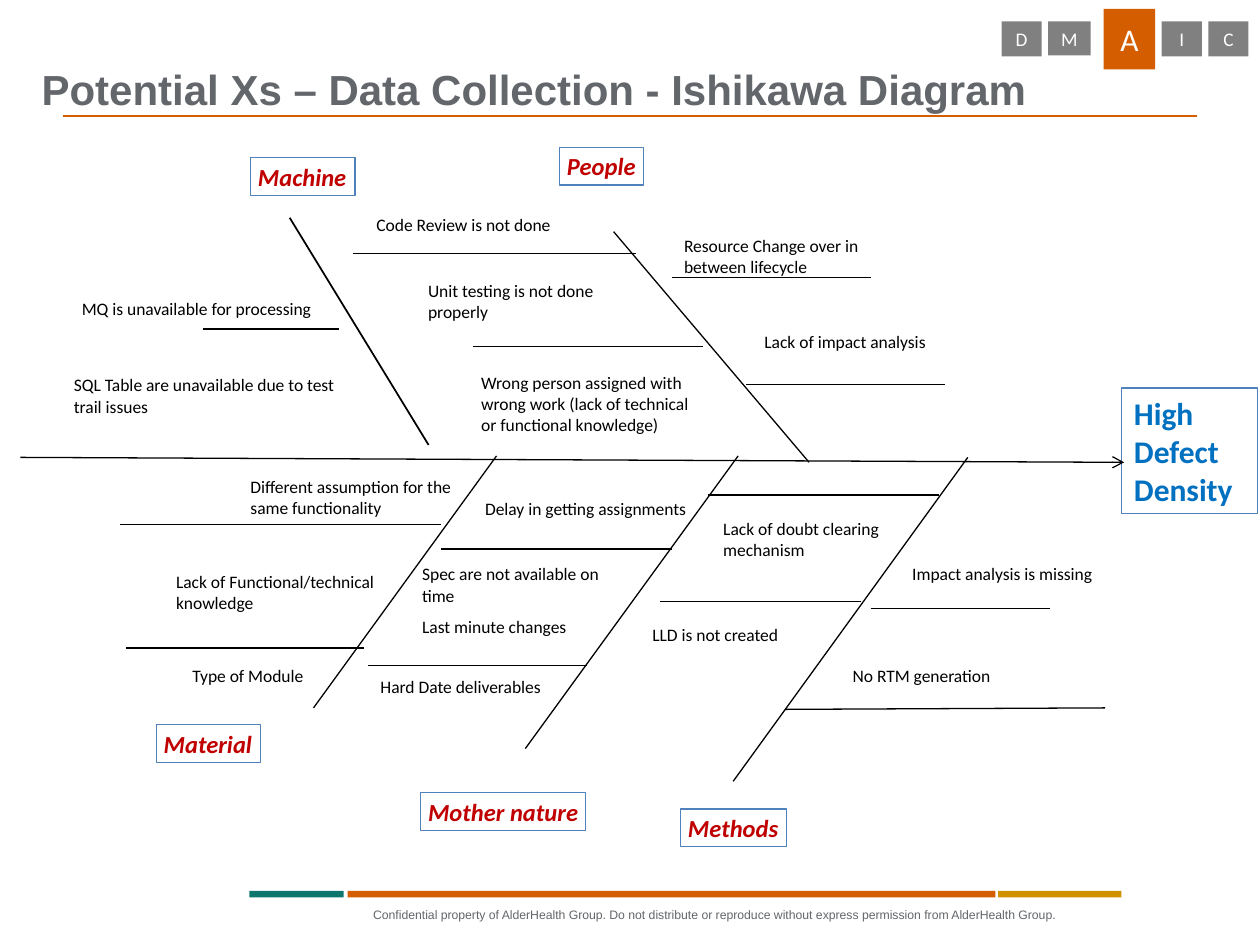
from lxml import etree
from pptx import Presentation
from pptx.dml.color import RGBColor
from pptx.enum.shapes import MSO_CONNECTOR, MSO_SHAPE
from pptx.enum.text import MSO_ANCHOR, MSO_AUTO_SIZE, PP_ALIGN
from pptx.oxml.ns import qn
from pptx.util import Cm, Pt

RECTANGLE = MSO_SHAPE.RECTANGLE
STRAIGHT = MSO_CONNECTOR.STRAIGHT
TOP, MIDDLE, BOTTOM = MSO_ANCHOR.TOP, MSO_ANCHOR.MIDDLE, MSO_ANCHOR.BOTTOM
LEFT, CENTER, RIGHT = PP_ALIGN.LEFT, PP_ALIGN.CENTER, PP_ALIGN.RIGHT
GROW, FIXED = MSO_AUTO_SIZE.SHAPE_TO_FIT_TEXT, MSO_AUTO_SIZE.NONE

ORANGE, TEAL, GOLD = "D45D00", "0D776E", "D19000"
GRAY, SLATE, WHITE, BLACK = "808080", "63666A", "FFFFFF", "000000"
BOX_BLUE, EFFECT_BLUE, RED = "4F81BD", "0070C0", "C00000"

TITLE = "Potential Xs – Data Collection - Ishikawa Diagram"
FOOTER = ("Confidential property of AlderHealth Group. Do not distribute or reproduce "
          "without express permission from AlderHealth Group.")

PHASES = [
    ("D", 20.19, 0.43, 0.81, 0.71),
    ("M", 21.13, 0.43, 0.86, 0.69),
    ("A", 22.25, 0.18, 1.04, 1.22),
    ("I", 23.42, 0.43, 0.81, 0.71),
    ("C", 24.36, 0.43, 0.81, 0.71),
]
FOOTER_BARS = [(5.03, 1.9, TEAL), (7.01, 13.06, ORANGE), (20.12, 2.49, GOLD)]

CATEGORIES = [
    ("Machine", 5.05, 3.18, 2.11),
    ("People", 11.28, 2.97, 1.7),
    ("Material", 3.15, 14.61, 2.11),
    ("Mother nature", 8.48, 15.98, 3.33),
    ("Methods", 13.72, 16.31, 2.13),
]
BONES = [
    (5.84, 4.39, 8.64, 8.97, 1),
    (12.37, 4.67, 16.31, 9.32, 0.75),
    (6.32, 14.27, 10.01, 9.19, 0.75),
    (10.59, 15.09, 14.88, 9.19, 0.75),
    (14.78, 15.75, 19.51, 9.22, 0.75),
]
TWIGS = [
    (4.09, 6.83, 6.63),
    (7.11, 12.83, 5.11),
    (9.53, 14.17, 6.99),
    (13.54, 17.55, 5.59),
    (15.04, 19.05, 7.75),
    (2.41, 8.89, 10.57),
    (2.54, 7.34, 13.06),
    (8.89, 13.54, 11.07),
    (7.42, 11.84, 13.41),
    (14.27, 18.92, 9.98),
    (13.31, 17.35, 12.12),
    (17.55, 21.16, 12.27),
]
CAUSES = [
    (1.4, 5.87, 6.02, 0.69, ["MQ is unavailable for processing"]),
    (1.24, 7.42, 6.02, 1.12, ["SQL Table are unavailable due to test trail issues"]),
    (7.34, 4.19, 4.72, 0.69, ["Code Review is not done"]),
    (8.38, 5.51, 4.72, 1.12, ["Unit testing is not done properly"]),
    (9.45, 7.37, 4.72, 1.52,
     ["Wrong person assigned with wrong work (lack of technical or functional knowledge)"]),
    (13.54, 4.6, 4.72, 1.12, ["Resource Change over in between lifecycle"]),
    (15.16, 6.55, 4.72, 0.69, ["Lack of impact analysis"]),
    (4.8, 9.47, 4.72, 1.12, ["Different assumption for the same functionality"]),
    (3.3, 11.38, 4.72, 1.12, ["Lack of Functional/technical knowledge"]),
    (3.63, 13.28, 3.12, 0.69, ["Type of Module"]),
    (9.53, 9.91, 4.72, 0.69, ["Delay in getting assignments"]),
    (8.26, 11.23, 4.72, 1.75, ["Spec are not available on time", "Last minute changes"]),
    (7.42, 13.49, 4.72, 0.69, ["Hard Date deliverables"]),
    (14.33, 10.31, 4.72, 1.12, ["Lack of doubt clearing mechanism"]),
    (12.9, 12.45, 4.72, 0.69, ["LLD is not created"]),
    (18.14, 11.23, 4.72, 0.69, ["Impact analysis is missing"]),
    (16.94, 13.28, 4.72, 0.69, ["No RTM generation"]),
]


def color(hex_string):
    return RGBColor.from_string(hex_string)


def write_text(shape, lines, size, text_color, font="Calibri", bold=False, italic=False,
               align=LEFT, anchor=TOP, wrap=True, auto_size=FIXED, insets=(0.25, 0.13),
               space_before=0, line_spacing=1):
    frame = shape.text_frame
    frame.word_wrap = wrap
    frame.auto_size = auto_size
    frame.vertical_anchor = anchor
    frame.margin_left = frame.margin_right = Cm(insets[0])
    frame.margin_top = frame.margin_bottom = Cm(insets[1])
    for index, line in enumerate(lines):
        paragraph = frame.add_paragraph() if index else frame.paragraphs[0]
        paragraph.text = line
        paragraph.alignment = align
        paragraph.line_spacing = line_spacing
        if index:
            paragraph.space_before = Pt(space_before)
        paragraph.font.name = font
        paragraph.font.size = Pt(size)
        paragraph.font.bold = bold
        paragraph.font.italic = italic
        paragraph.font.color.rgb = color(text_color)


def add_text(slide, left, top, width, height, lines, size, text_color, **text_format):
    box = slide.shapes.add_textbox(Cm(left), Cm(top), Cm(width), Cm(height))
    write_text(box, lines, size, text_color, **text_format)


def add_box(slide, left, top, width, height, fill=None, outline=None):
    shape = slide.shapes.add_shape(RECTANGLE, Cm(left), Cm(top), Cm(width), Cm(height))
    shape.shadow.inherit = False
    if fill:
        shape.fill.solid()
        shape.fill.fore_color.rgb = color(fill)
    else:
        shape.fill.background()
    if outline:
        shape.line.color.rgb = color(outline)
        shape.line.width = Pt(0.75)
    else:
        shape.line.fill.background()
    return shape


def add_line(slide, x1, y1, x2, y2, line_color=BLACK, width=0.75, arrow=False):
    connector = slide.shapes.add_connector(STRAIGHT, Cm(x1), Cm(y1), Cm(x2), Cm(y2))
    connector.line.color.rgb = color(line_color)
    connector.line.width = Pt(width)
    properties = connector._element.spPr
    if arrow:
        etree.SubElement(properties.find(qn("a:ln")), qn("a:tailEnd"), type="arrow")
    etree.SubElement(properties, qn("a:effectLst"))


def add_frame(slide):
    add_text(slide, 0.84, 0.2, 20.68, 2.11, [TITLE], 24, SLATE, font="Arial", bold=True,
             anchor=BOTTOM, insets=(0, 0), line_spacing=0.9)
    add_line(slide, 1.27, 2.34, 24.13, 2.34, line_color=ORANGE, width=1)
    for left, width, fill in FOOTER_BARS:
        add_box(slide, left, 17.96, width, 0.13, fill=fill)
    add_text(slide, 7.21, 18.29, 14.07, 0.3, [FOOTER], 7, SLATE, font="Arial",
             align=RIGHT, wrap=False, auto_size=GROW, insets=(0, 0))


def add_phases(slide, current):
    for letter, left, top, width, height in PHASES:
        active = letter == current
        box = add_box(slide, left, top, width, height, fill=ORANGE if active else GRAY)
        write_text(box, [letter], 18 if active else 11, WHITE, align=CENTER,
                   anchor=MIDDLE, wrap=False)


def add_fishbone(slide):
    for x1, y1, x2, y2, width in BONES:
        add_line(slide, x1, y1, x2, y2, width=width)
    for start, end, y in TWIGS:
        add_line(slide, start, y, end, y)
    add_line(slide, 15.82, 14.3, 22.28, 14.27)
    for name, left, top, width in CATEGORIES:
        box = add_box(slide, left, top, width, 0.76, outline=BOX_BLUE)
        write_text(box, [name], 14, RED, bold=True, italic=True, wrap=False,
                   auto_size=GROW, insets=(0.15, 0.08))
    effect = add_box(slide, 22.61, 7.82, 2.74, 2.54, outline=BOX_BLUE)
    write_text(effect, ["High Defect", "Density"], 18, EFFECT_BLUE, bold=True,
               auto_size=GROW)
    add_line(slide, 0.41, 9.22, 22.66, 9.32, arrow=True)
    for left, top, width, height, lines in CAUSES:
        add_text(slide, left, top, width, height, lines, 10, BLACK, auto_size=GROW,
                 space_before=6)


def main():
    presentation = Presentation()
    presentation.slide_width = Cm(25.4)
    presentation.slide_height = Cm(19.05)
    slide = presentation.slides.add_slide(presentation.slide_layouts[6])
    add_frame(slide)
    add_phases(slide, "A")
    add_fishbone(slide)
    presentation.save("out.pptx")


if __name__ == "__main__":
    main()
